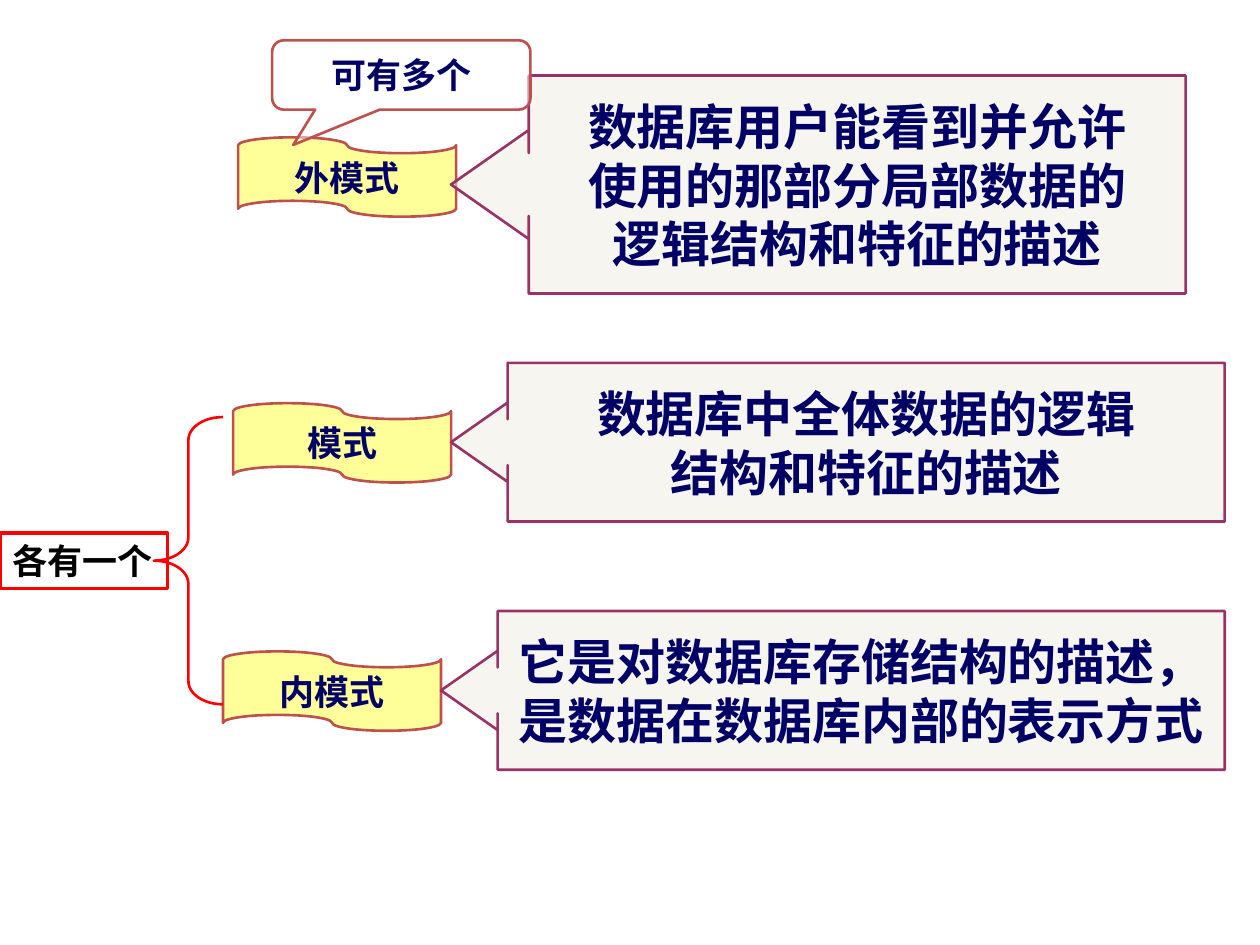
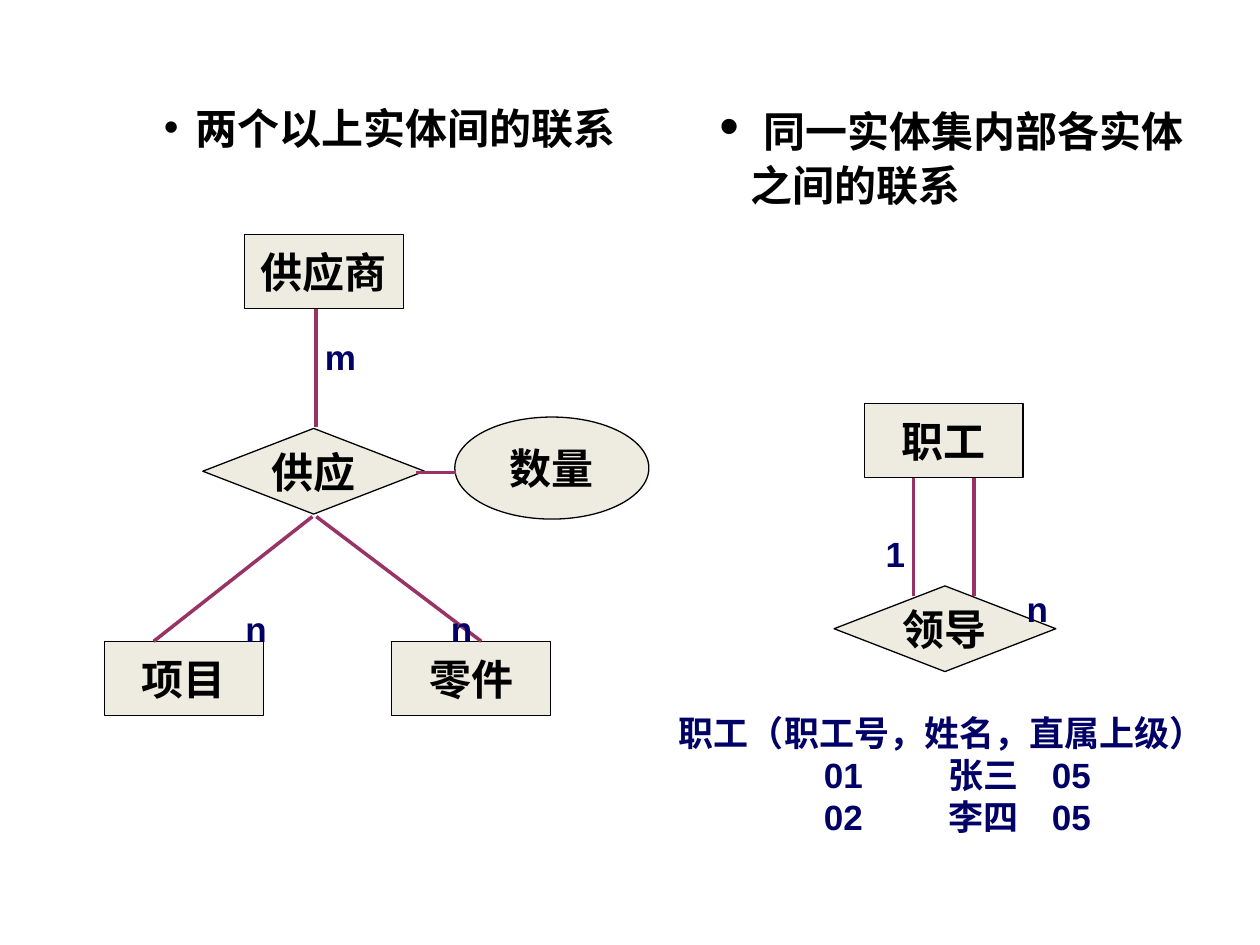
from lxml import etree
from pptx import Presentation
from pptx import util as u
from pptx.dml.color import RGBColor
from pptx.enum import shapes, text
from pptx.oxml import ns

NAVY = RGBColor(0x00, 0x00, 0x66)
BLACK = RGBColor(0x00, 0x00, 0x00)
WHITE = RGBColor(0xFF, 0xFF, 0xFF)
RED = RGBColor(0xFF, 0x00, 0x00)
BRICK = RGBColor(0xC0, 0x50, 0x4D)
PLUM = RGBColor(0x99, 0x33, 0x66)
YELLOW = RGBColor(0xFF, 0xFF, 0x99)
CREAM = RGBColor(0xEE, 0xEC, 0xE1)

KIND = shapes.MSO_SHAPE
ALIGN = text.PP_ALIGN


def inches(*lengths):
    return [u.Inches(length) for length in lengths]


def add_xml(parent, tag, **attributes):
    return etree.SubElement(parent, ns.qn(tag), attributes)


def write(frame, lines, size, color, align=ALIGN.CENTER, wrap=False):
    """Fill a text frame with bold paragraphs, one for each line."""
    frame.word_wrap = wrap
    for i, line in enumerate(lines):
        paragraph = frame.paragraphs[0] if i == 0 else frame.add_paragraph()
        paragraph.text = line
        paragraph.alignment = align
        style(paragraph.font, size, color)


def style(font, size, color, name="Arial"):
    font.name, font.size, font.bold = name, u.Pt(size), True
    font.color.rgb = color


def add_figure(slide, kind, place, fill, line, width, alpha=None):
    figure = slide.shapes.add_shape(kind, *inches(*place))
    figure.shadow.inherit = False
    figure.line.color.rgb = line
    figure.line.width = u.Pt(width)
    if fill is None:
        figure.fill.background()
    else:
        figure.fill.solid()
        figure.fill.fore_color.rgb = fill
    if alpha:
        color = figure._element.spPr.find(".//" + ns.qn("a:srgbClr"))
        add_xml(color, "a:alpha", val=str(alpha * 1000))
    return figure


def set_adjustments(figure, *values):
    for i, value in enumerate(values):
        figure.adjustments[i] = value


# Schema slide elements
def add_schema_tape(slide, left, top, name):
    tape = add_figure(slide, KIND.FLOWCHART_PUNCHED_TAPE,
                      (left, top, 1.73, 0.63), YELLOW, BRICK, 1.5)
    tape.rotation = 180
    tape._element.spPr.find(ns.qn("a:xfrm")).set("flipV", "1")
    write(tape.text_frame, [name], 20, NAVY)


def add_definition(slide, place, lines):
    callout = add_figure(slide, KIND.LEFT_ARROW_CALLOUT, place,
                         CREAM, PLUM, 1.5, alpha=48)
    set_adjustments(callout, 0.289, 0.25, 0.357, 0.929)
    write(callout.text_frame, lines, 28, NAVY)


# Entity-relationship slide elements
def add_node(slide, kind, left, top, name):
    width, height = {KIND.FLOWCHART_PROCESS: (1.26, 0.59),
                     KIND.DIAMOND: (1.76, 0.68),
                     KIND.OVAL: (1.54, 0.81)}[kind]
    node = add_figure(slide, kind, (left, top, width, height),
                      CREAM, BLACK, 0.75)
    write(node.text_frame, [name], 24, BLACK)


def add_link(slide, *ends):
    link = slide.shapes.add_connector(shapes.MSO_CONNECTOR.STRAIGHT,
                                      *inches(*ends))
    link.line.color.rgb = PLUM
    link.line.width = u.Pt(2)
    add_xml(link._element.spPr, "a:effectLst")


def add_cardinality(slide, left, top, symbol):
    label = slide.shapes.add_textbox(*inches(left, top, 0.4, 0.43))
    write(label.text_frame, [symbol], 20, NAVY, ALIGN.LEFT)


def fill_heading(placeholder, place, heading, lead=""):
    (placeholder.left, placeholder.top,
     placeholder.width, placeholder.height) = inches(*place)
    frame = placeholder.text_frame
    frame.auto_size = text.MSO_AUTO_SIZE.NONE
    paragraph = frame.paragraphs[0]
    paragraph.level = 1
    paragraph.space_before = u.Pt(0)
    properties = paragraph._p.get_or_add_pPr()
    properties.set("marL", str(u.Inches(1.25)))
    properties.set("indent", str(u.Inches(-0.25)))
    add_xml(properties, "a:buFont", typeface="Arial")
    add_xml(properties, "a:buChar", char="•")
    if lead:
        lead_run = paragraph.add_run()
        lead_run.text = lead
        lead_run.font.name, lead_run.font.size = "Arial", u.Pt(32)
    run = paragraph.add_run()
    run.text = heading
    style(run.font, 24, BLACK, "Calibri")


def add_employee_records(slide):
    records = slide.shapes.add_textbox(*inches(5.29, 5.6, 4.44, 1.11))
    lines = ["职工（职工号，姓名，直属上级）", "\t01\t张三\t05", "\t02\t李四\t05"]
    frame = records.text_frame
    for i in range(len(lines)):
        paragraph = frame.paragraphs[0] if i == 0 else frame.add_paragraph()
        if i == 0:
            continue
        tabs = add_xml(paragraph._p.get_or_add_pPr(), "a:tabLst")
        for stop in (1.15, 2.14, 2.96):
            add_xml(tabs, "a:tab", pos=str(u.Inches(stop)), algn="l")
    frame.word_wrap = True
    for paragraph, line in zip(frame.paragraphs, lines):
        paragraph.text = line
        style(paragraph.font, 20, NAVY)


def build_schema_slide(deck):
    slide = deck.slides.add_slide(deck.slide_layouts[6])
    add_schema_tape(slide, 1.89, 1.09, "外模式")
    add_schema_tape(slide, 1.85, 3.2, "模式")
    add_schema_tape(slide, 1.77, 5.17, "内模式")
    add_definition(slide, (3.58, 2.88, 6.14, 1.26),
                   ["数据库中全体数据的逻辑", "结构和特征的描述"])
    add_definition(slide, (3.58, 0.6, 5.83, 1.73),
                   ["数据库用户能看到并允许", "使用的那部分局部数据的",
                    "逻辑结构和特征的描述"])
    add_definition(slide, (3.5, 4.85, 6.22, 1.26),
                   ["它是对数据库存储结构的描述，", "是数据在数据库内部的表示方式"])

    # How many of each schema there are
    many = add_figure(slide, KIND.ROUNDED_RECTANGULAR_CALLOUT,
                      (2.16, 0.32, 2.05, 0.55), WHITE, BRICK, 1.5, alpha=48)
    set_adjustments(many, -0.418, 1.009, 0.167)
    write(many.text_frame, ["可有多个"], 20, NAVY, wrap=True)
    brace = add_figure(slide, KIND.LEFT_BRACE, (1.22, 3.31, 0.55, 2.28),
                       None, RED, 1.5)
    set_adjustments(brace, 0.333, 0.5)
    single = add_figure(slide, KIND.RECTANGLE, (0, 4.23, 1.33, 0.44),
                        None, RED, 2)
    write(single.text_frame, ["各有一个"], 20, BLACK, ALIGN.LEFT)


def build_relationship_slide(deck):
    slide = deck.slides.add_slide(deck.slide_layouts[3])
    title, left_heading, right_heading = list(slide.placeholders)[:3]
    title._element.getparent().remove(title._element)
    fill_heading(left_heading, (0.2, 0.76, 5.04, 6.06), "两个以上实体间的联系")
    fill_heading(right_heading, (4.61, 0.68, 5.04, 1.47),
                 "同一实体集内部各实体之间的联系", lead=" ")

    # Entities, relationships and the attribute
    for kind, left, top, name in (
            (KIND.OVAL, 3.61, 3.31, "数量"),
            (KIND.FLOWCHART_PROCESS, 1.94, 1.86, "供应商"),
            (KIND.DIAMOND, 1.61, 3.4, "供应"),
            (KIND.FLOWCHART_PROCESS, 3.11, 5.09, "零件"),
            (KIND.FLOWCHART_PROCESS, 0.83, 5.09, "项目"),
            (KIND.DIAMOND, 6.62, 4.65, "领导"),
            (KIND.FLOWCHART_PROCESS, 6.86, 3.2, "职工")):
        add_node(slide, kind, left, top, name)

    # Links and their cardinalities
    for ends in ((2.51, 2.45, 2.51, 3.39), (2.51, 4.1, 3.82, 5.09),
                 (3.3, 3.75, 3.62, 3.75), (2.48, 4.1, 1.22, 5.09),
                 (7.73, 3.79, 7.73, 4.73), (7.25, 3.79, 7.25, 4.73)):
        add_link(slide, *ends)
    for left, top, symbol in ((2.48, 2.61, "m"), (3.48, 4.77, "n"),
                              (1.85, 4.77, "n"), (6.93, 4.18, "1"),
                              (8.05, 4.61, "n")):
        add_cardinality(slide, left, top, symbol)

    add_employee_records(slide)


def main():
    deck = Presentation()
    deck.slide_width, deck.slide_height = inches(10, 7.5)
    build_schema_slide(deck)
    build_relationship_slide(deck)
    deck.save("out.pptx")


if __name__ == "__main__":
    main()
